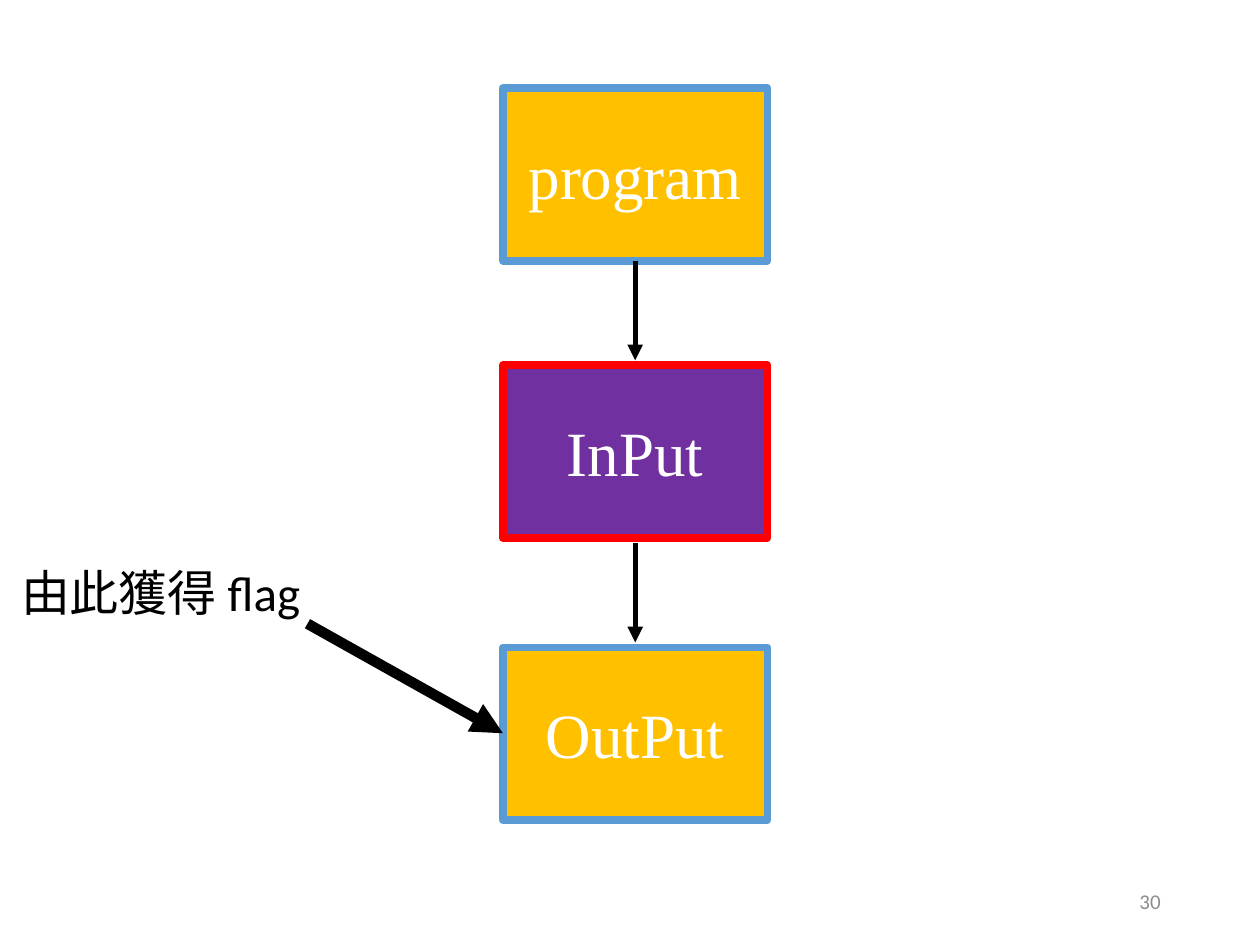
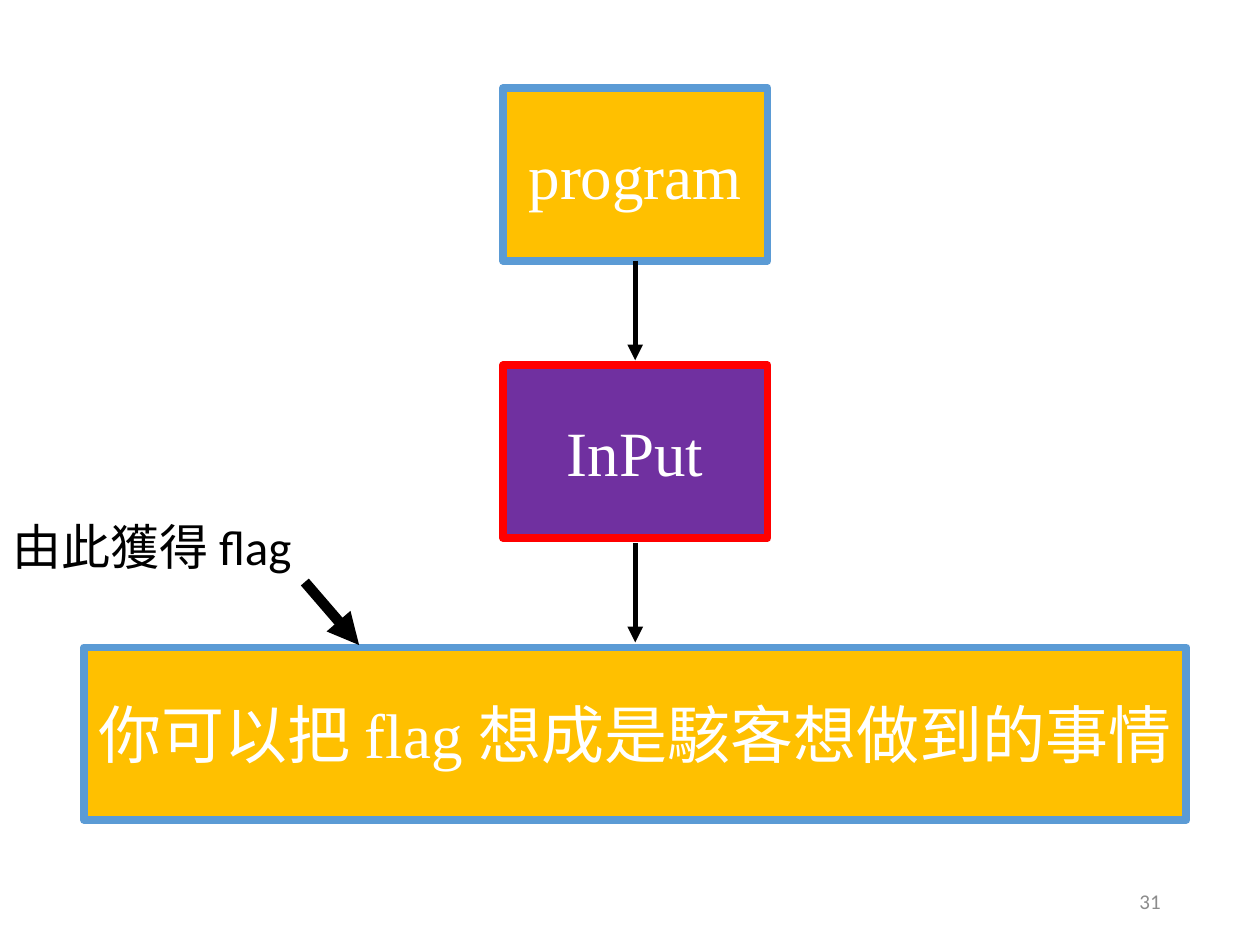
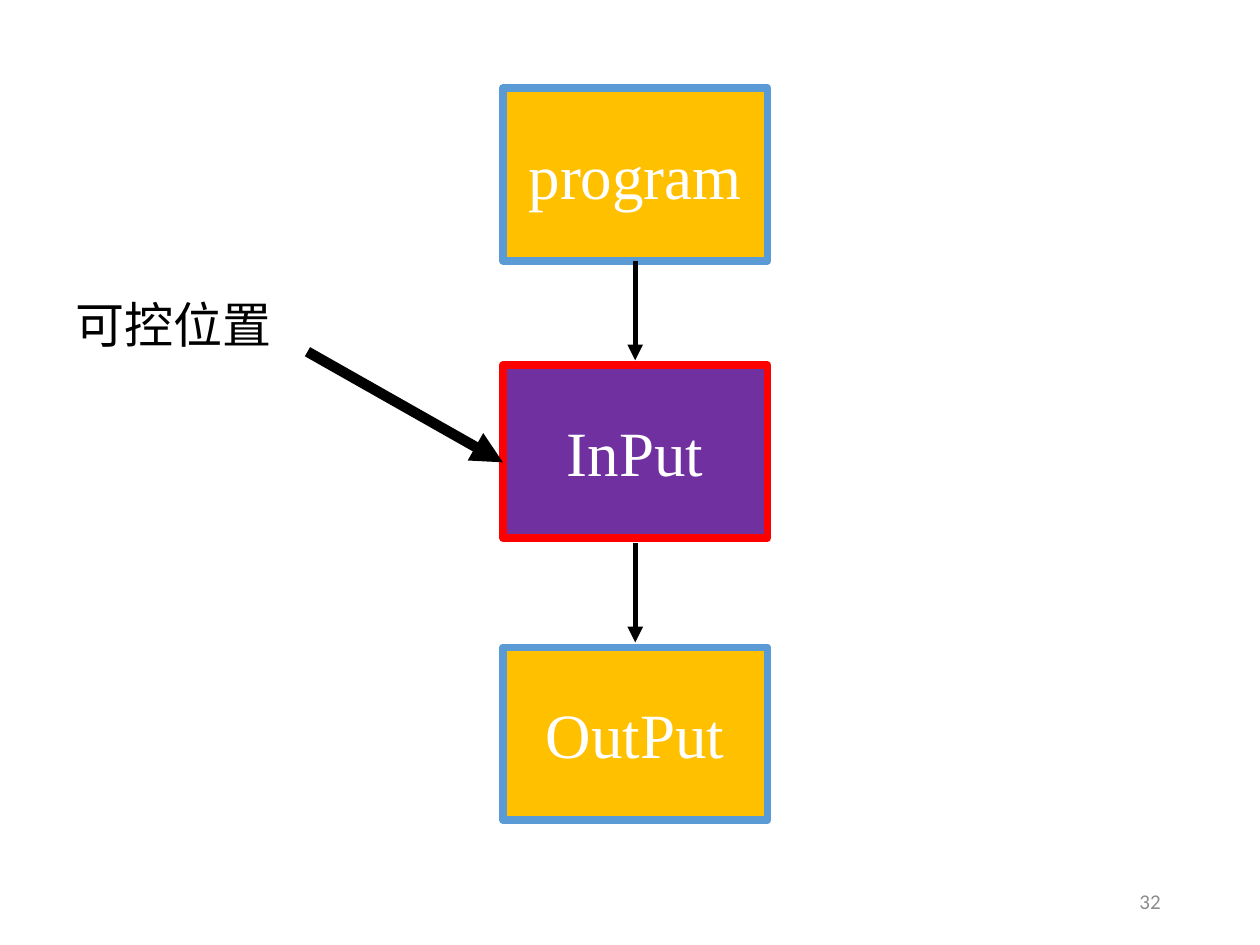
from dataclasses import dataclass

from lxml import etree
from pptx import Presentation
from pptx.dml.color import RGBColor
from pptx.enum.shapes import MSO_CONNECTOR, MSO_SHAPE
from pptx.enum.text import MSO_ANCHOR, PP_ALIGN
from pptx.oxml.ns import qn
from pptx.slide import Slide
from pptx.text.text import TextFrame
from pptx.util import Pt

RECTANGLE = MSO_SHAPE.RECTANGLE
STRAIGHT = MSO_CONNECTOR.STRAIGHT
LEFT, CENTER, RIGHT = PP_ALIGN.LEFT, PP_ALIGN.CENTER, PP_ALIGN.RIGHT
TOP, MIDDLE = MSO_ANCHOR.TOP, MSO_ANCHOR.MIDDLE

WHITE, BLACK, GREY = "FFFFFF", "000000", "8C8C8C"
AMBER, BLUE, PURPLE, RED = "FFC000", "5B9BD5", "7030A0", "FF0000"
BODY_FONT, STEP_FONT = "Calibri", "Times New Roman"

FLOW_CENTER = 363
STEP_WIDTH, STEP_HEIGHT = 151.2, 98.6
STEP_TOPS = (50.4, 208.8, 370)
STEP_LEFT = FLOW_CENTER - STEP_WIDTH / 2
ARROW_LENGTH, ARROW_GAP = 56.9, 2.9
FIRST_PAGE_NUMBER = 30


@dataclass(frozen=True)
class Step:
    text: str
    fill: str = AMBER
    line: str = BLUE
    width: float = STEP_WIDTH


@dataclass(frozen=True)
class Callout:
    text: str
    left: float
    top: float
    width: float
    arrow_start: tuple[float, float]
    arrow_end: tuple[float, float]


@dataclass(frozen=True)
class FlowPage:
    last_step: Step
    callout: Callout


PROGRAM = Step("program")
INPUT = Step("InPut", fill=PURPLE, line=RED)
OUTPUT = Step("OutPut")
GOAL = Step("你可以把 flag 想成是駭客想做到的事情", width=630)

PAGES = (
    FlowPage(OUTPUT, Callout("由此獲得 flag", 5, 318.2, 175.7,
                             (175.7, 356.4), (STEP_LEFT, 419))),
    FlowPage(GOAL, Callout("由此獲得 flag", 0, 291.6, 175.7,
                           (174.2, 332.6), (205.2, 368.6))),
    FlowPage(OUTPUT, Callout("可控位置", 36, 164.9, 127.4,
                             (175.7, 201), (STEP_LEFT, 264.2))),
)


def color(value: str) -> RGBColor:
    return RGBColor.from_string(value)


def write_text(frame: TextFrame, text: str, *, size: float, font: str = BODY_FONT,
               fill: str = BLACK, align: PP_ALIGN = LEFT,
               anchor: MSO_ANCHOR = TOP) -> None:
    frame.word_wrap = True
    frame.vertical_anchor = anchor
    para = frame.paragraphs[0]
    para.alignment = align
    span = para.add_run()
    span.text = text
    span.font.name = font
    span.font.size = Pt(size)
    span.font.color.rgb = color(fill)


def add_text(page: Slide, left: float, top: float, width: float, height: float,
             text: str, **text_format) -> None:
    box = page.shapes.add_textbox(Pt(left), Pt(top), Pt(width), Pt(height))
    write_text(box.text_frame, text, **text_format)


def add_step(page: Slide, step: Step, top: float) -> None:
    box = page.shapes.add_shape(RECTANGLE, Pt(FLOW_CENTER - step.width / 2), Pt(top),
                                Pt(step.width), Pt(STEP_HEIGHT))
    box.shadow.inherit = False
    box.fill.solid()
    box.fill.fore_color.rgb = color(step.fill)
    box.line.color.rgb = color(step.line)
    box.line.width = Pt(4.5)
    write_text(box.text_frame, step.text, size=36, font=STEP_FONT, fill=WHITE,
               align=CENTER, anchor=MIDDLE)


def add_arrow(page: Slide, start: tuple[float, float], end: tuple[float, float],
              width: float) -> None:
    arrow = page.shapes.add_connector(STRAIGHT, *map(Pt, start + end))
    arrow.line.color.rgb = color(BLACK)
    arrow.line.width = Pt(width)
    properties = arrow.line._get_or_add_ln()
    etree.SubElement(properties, qn("a:tailEnd"), type="triangle")
    etree.SubElement(properties.getparent(), qn("a:effectLst"))


def add_flow(page: Slide, steps: tuple[Step, ...]) -> None:
    """Stack the steps, with an arrow down into each step after the first."""
    for index, (step, top) in enumerate(zip(steps, STEP_TOPS)):
        if index:
            tip = top - ARROW_GAP
            add_arrow(page, (FLOW_CENTER, tip - ARROW_LENGTH), (FLOW_CENTER, tip), 3)
        add_step(page, step, top)


def add_callout(page: Slide, callout: Callout) -> None:
    add_arrow(page, callout.arrow_start, callout.arrow_end, 6)
    add_text(page, callout.left, callout.top, callout.width, 41, callout.text, size=28)


def main() -> None:
    deck = Presentation()
    deck.slide_width, deck.slide_height = Pt(720), Pt(540)
    blank = deck.slide_layouts[6]
    for number, flow_page in enumerate(PAGES, FIRST_PAGE_NUMBER):
        page = deck.slides.add_slide(blank)
        add_text(page, 508.3, 500.4, 162, 28.8, str(number), size=12, fill=GREY,
                 align=RIGHT, anchor=MIDDLE)
        add_flow(page, (PROGRAM, INPUT, flow_page.last_step))
        add_callout(page, flow_page.callout)
    deck.save("out.pptx")


if __name__ == "__main__":
    main()
